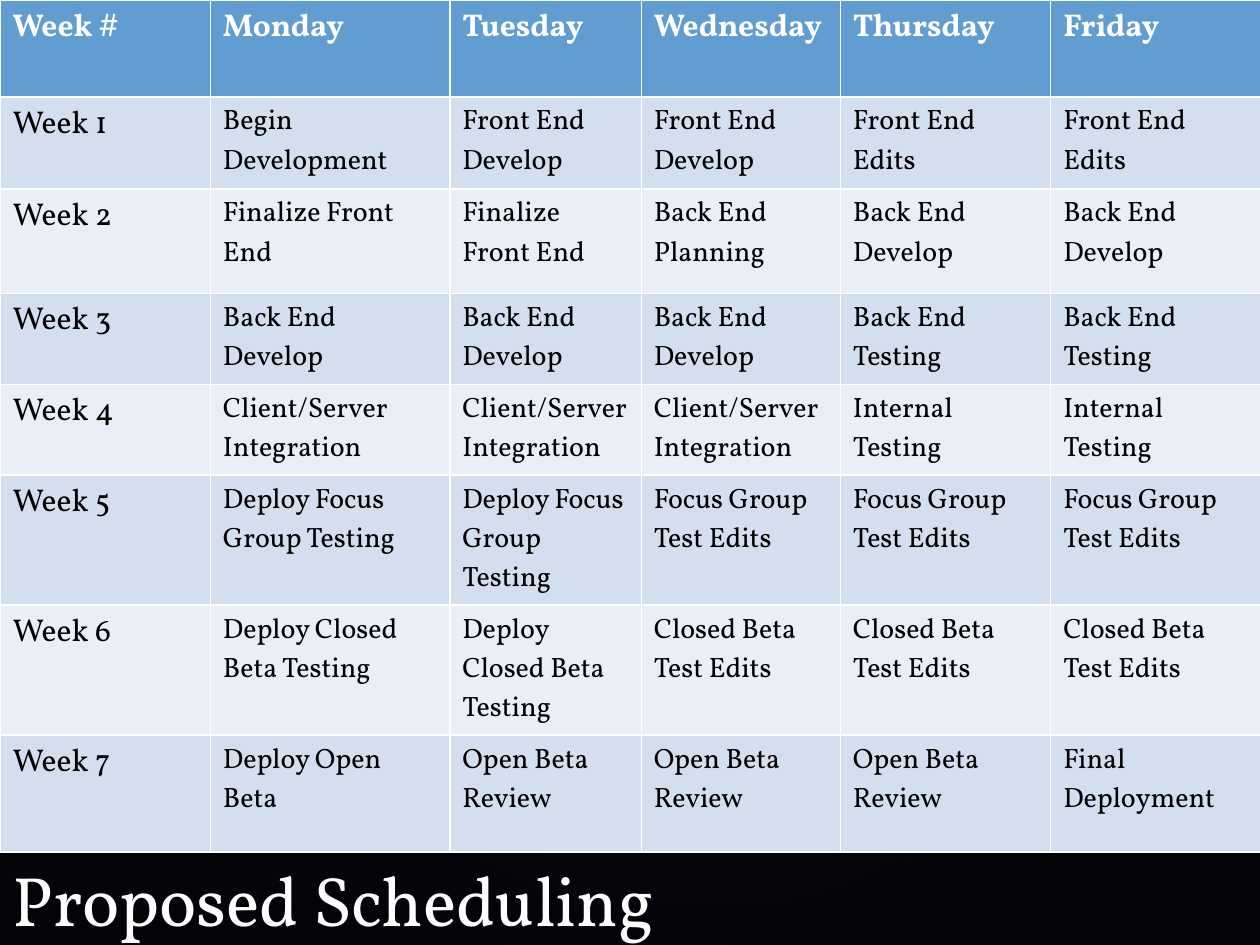
from lxml import etree
from pptx import Presentation
from pptx.dml.color import RGBColor
from pptx.enum import shapes, text
from pptx.oxml import ns
from pptx.util import Inches, Pt

FONT = "Vollkorn"
BLACK = RGBColor(0x00, 0x00, 0x00)
WHITE = RGBColor(0xFF, 0xFF, 0xFF)
HEADER_BLUE = RGBColor(0x62, 0x9D, 0xD1)
BAND_DARK = RGBColor(0xD3, 0xDF, 0xEE)
BAND_LIGHT = RGBColor(0xEA, 0xEF, 0xF7)
PLUM = RGBColor(0x50, 0x46, 0x52)
NAVY = RGBColor(0x24, 0x28, 0x52)
MIST = RGBColor(0xC4, 0xBC, 0xC6)

LINEAR = '<a:lin ang="5400000" scaled="0"/>'
RADIAL = ('<a:path path="circle">'
          '<a:fillToRect l="50000" t="50000" r="50000" b="50000"/></a:path>')

GLOWS = [
    ((1.5, 1.14, 7.92, 6.24), 328.7, 7),
    ((-0.3, 1.28, 6.06, 4.9), 294.3, 8),
    ((3.58, 0.13, 7.09, 5.2), 328.7, 8),
]

COLUMN_WIDTHS = [1.67, 1.9, 1.52, 1.58, 1.67, 1.67]
ROW_HEIGHTS = [0.77, 0.73, 0.83, 0.71, 0.71, 1, 1, 0.93]
HEADINGS = ["Week #", "Monday", "Tuesday", "Wednesday", "Thursday", "Friday"]
WEEKS = [
    ["Begin Development", "Front End Develop", "Front End Develop",
     "Front End Edits", "Front End Edits"],
    ["Finalize Front End", "Finalize Front End", "Back End Planning",
     "Back End Develop", "Back End Develop"],
    ["Back End Develop", "Back End Develop", "Back End Develop",
     "Back End Testing", "Back End Testing"],
    ["Client/Server Integration", "Client/Server Integration",
     "Client/Server Integration", "Internal Testing", "Internal Testing"],
    ["Deploy Focus Group Testing", "Deploy Focus Group Testing",
     "Focus Group Test Edits", "Focus Group Test Edits", "Focus Group Test Edits"],
    ["Deploy Closed Beta Testing", "Deploy Closed Beta Testing",
     "Closed Beta Test Edits", "Closed Beta Test Edits", "Closed Beta Test Edits"],
    ["Deploy Open Beta", "Open Beta Review", "Open Beta Review",
     "Open Beta Review", "Final Deployment"],
]


def format_text(frame, size, color, bold=False):
    for paragraph in frame.paragraphs:
        for span in paragraph.runs:
            span.font.name = FONT
            span.font.size = Pt(size)
            span.font.bold = bold
            span.font.color.rgb = color


def add_gradient_shape(page, preset, position, stops, shading, rotation=0):
    shape = page.shapes.add_shape(preset, *map(Inches, position))
    shape.rotation = rotation
    shape.shadow.inherit = False
    shape.line.fill.background()
    shape.fill.background()
    stop_xml = "".join(
        f'<a:gs pos="{place * 1000}"><a:srgbClr val="{color}">'
        f'<a:alpha val="{opacity * 1000}"/></a:srgbClr></a:gs>'
        for place, color, opacity in stops)
    gradient = etree.fromstring(
        f'<a:gradFill {ns.nsdecls("a")} rotWithShape="1">'
        f'<a:gsLst>{stop_xml}</a:gsLst>{shading}</a:gradFill>')
    properties = shape._element.spPr
    properties.replace(properties.find(ns.qn("a:noFill")), gradient)


def add_backdrop(page):
    page.background.fill.solid()
    page.background.fill.fore_color.rgb = BLACK
    add_gradient_shape(page, shapes.MSO_SHAPE.RECTANGLE, (0, 0, 10, 7.5),
                       [(0, PLUM, 36), (100, NAVY, 10)], LINEAR)
    for position, rotation, opacity in GLOWS:
        add_gradient_shape(page, shapes.MSO_SHAPE.OVAL, position,
                           [(0, MIST, opacity), (58, NAVY, 0)], RADIAL, rotation)


def fill_cell(cell, words, fill, size, color, bold):
    cell.fill.solid()
    cell.fill.fore_color.rgb = fill
    cell.text_frame.text = words
    format_text(cell.text_frame, size, color, bold)


def add_schedule(page):
    rows = [HEADINGS] + [[f"Week {number}"] + tasks
                         for number, tasks in enumerate(WEEKS, 1)]
    table = page.shapes.add_table(
        len(rows), len(HEADINGS), 0, 0, Inches(10), Inches(6.67)).table
    for column, width in zip(table.columns, COLUMN_WIDTHS):
        column.width = Inches(width)
    for row, height in zip(table.rows, ROW_HEIGHTS):
        row.height = Inches(height)
    for i, row in enumerate(rows):
        header = i == 0
        band = BAND_DARK if i % 2 else BAND_LIGHT
        for j, words in enumerate(row):
            fill_cell(table.cell(i, j), words,
                      HEADER_BLUE if header else band,
                      18 if header or j == 0 else 16,
                      WHITE if header else BLACK, header)


def place_title(page, words):
    title = page.shapes.title
    title.left, title.top, title.width, title.height = map(
        Inches, (0, 6.75, 6.08, 0.77))
    frame = title.text_frame
    frame.text = words
    frame.word_wrap = True
    frame.auto_size = text.MSO_AUTO_SIZE.SHAPE_TO_FIT_TEXT
    frame.vertical_anchor = text.MSO_ANCHOR.TOP
    frame.paragraphs[0].alignment = text.PP_ALIGN.LEFT
    format_text(frame, 40, WHITE)
    page.shapes._spTree.append(title._element)


def main():
    deck = Presentation()
    deck.slide_width, deck.slide_height = Inches(10), Inches(7.5)
    page = deck.slides.add_slide(deck.slide_layouts[5])
    add_backdrop(page)
    add_schedule(page)
    place_title(page, "Proposed Scheduling")
    deck.save("out.pptx")


if __name__ == "__main__":
    main()
